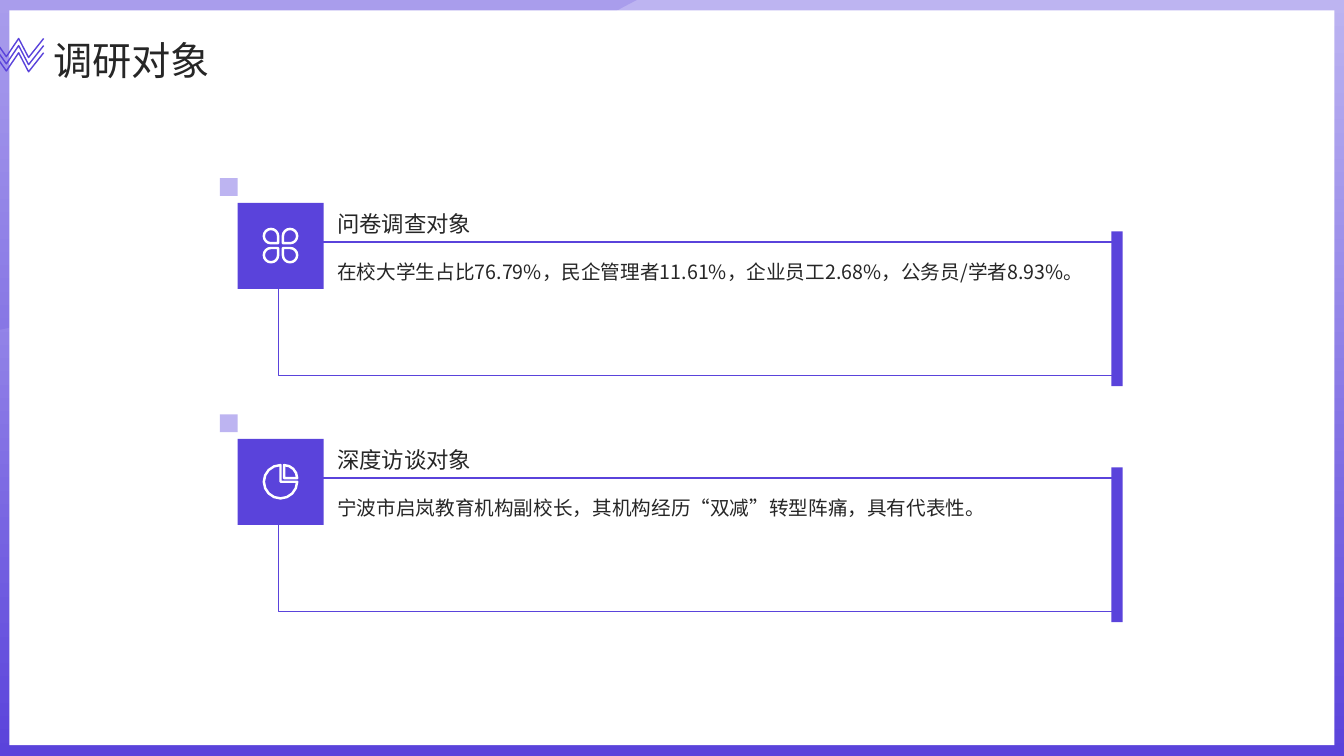
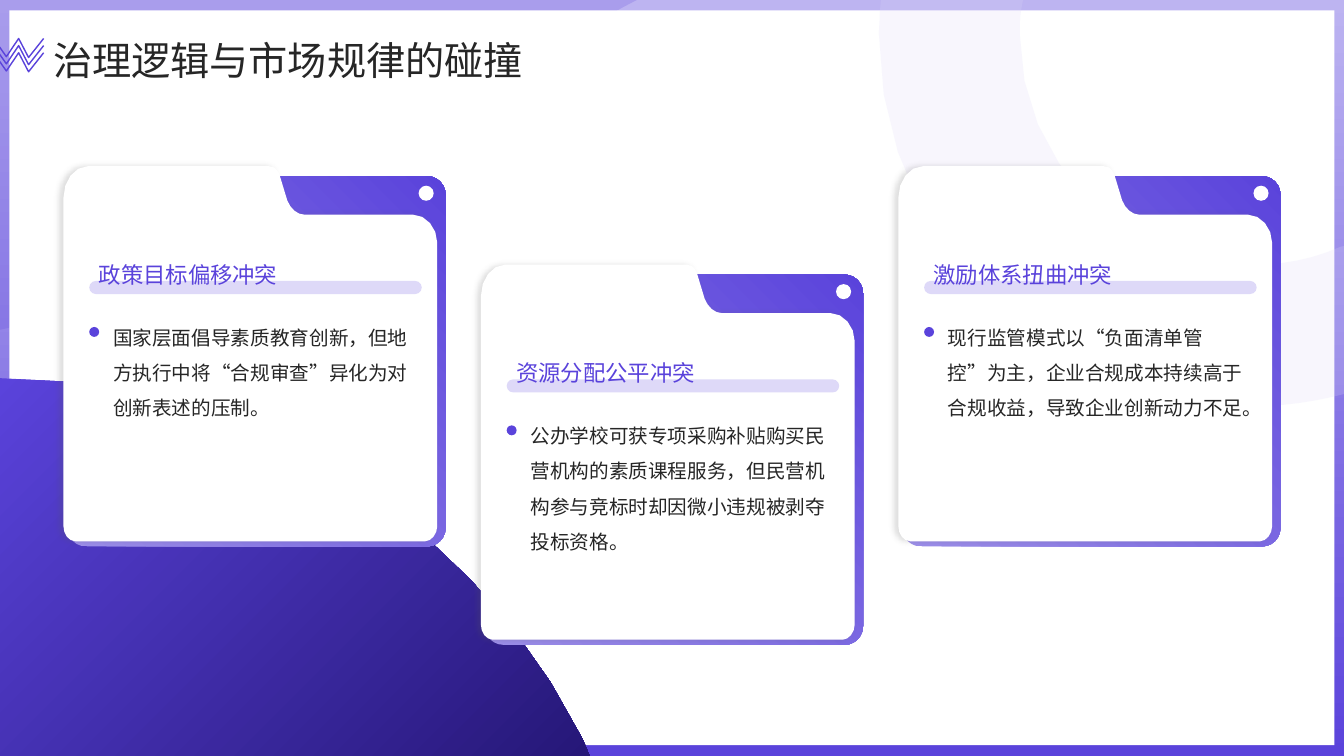
"""Build the two survey slides: interview subjects and policy conflicts."""
import math
from dataclasses import dataclass

from lxml import etree
from pptx import Presentation
from pptx import util as u
from pptx.dml import color
from pptx.enum import shapes, text
from pptx.oxml import ns

SHAPE = shapes.MSO_SHAPE
ANCHOR = text.MSO_ANCHOR


@dataclass(frozen=True)
class Theme:
    """Colours, font and type sizes shared by the slides."""
    font: str = "Noto Sans CJK SC"
    main: str = "5A43DB"
    soft: str = "BDB4F1"
    mid: str = "9C8EE9"
    pale: str = "DED9F8"
    deep: str = "261778"
    ink: str = "262626"
    white: str = "FFFFFF"
    shade: str = "595959"
    title: int = 28
    head: int = 16
    body: int = 14


T = Theme()
WIDTH, HEIGHT = 33.87, 19.05
PANEL_TOP, PANEL_STEP = 4.49, 5.95
CARD_LEFT, CARD_TOP, CARD_STEP, CARD_DROP = 1.6, 4.19, 10.52, 2.48

SWOOSH = [(0, 0), (16.05, 0), (15.67, 0.2), (14.33, 0.97), (9.55, 0.61), (6.02, 3.15),
          (2.44, 4.04), (1.55, 7.42), (0.23, 8.26), (0, 8.31)]
RING = [(31.52, 10.24), (32.33, 10.24, 33.1, 10.13, 33.87, 9.93), (33.87, 6.2), (33.78, 6.22),
        (33.1, 6.53, 32.31, 6.68, 31.52, 6.68), (28.3, 6.68, 25.7, 4.09, 25.7, 0.86),
        (25.7, 0.66, 25.7, 0.48, 25.73, 0.28), (25.78, 0), (22.2, 0), (22.17, 0.38),
        (22.17, 0.56, 22.15, 0.71, 22.15, 0.86), (22.15, 6.05, 26.34, 10.24, 31.52, 10.24)]
DOME = [(0, 9.53), (6.43, 9.53, 11.99, 13.23, 14.68, 18.62), (14.86, 19.05), (0, 19.05)]
FOLDER = [(5.18, 0), (5.31, 0.03), (5.38, 0.1), (5.44, 0.2), (5.64, 0.86),
          (5.72, 1.07, 5.89, 1.22, 6.07, 1.22), (8.81, 1.22), (9.14, 1.22, 9.42, 1.55, 9.42, 1.93),
          (9.42, 9.07), (9.42, 9.27, 9.27, 9.45, 9.12, 9.45), (0.3, 9.45),
          (0.13, 9.45, 0, 9.27, 0, 9.07), (0, 0.79), (0, 0.36, 0.28, 0, 0.61, 0)]
ZIGZAG = [(-1.17, 0.56), (-0.84, 0), (-0.53, 0.48), (-0.15, 0.03),
          (0.15, 0.46), (0.46, 0), (0.71, 0.48), (1.09, 0)]
PETAL = [(0.06, 0.06), (0.24, 0.06), (0.34, 0.06, 0.42, 0.14, 0.42, 0.24),
         (0.42, 0.34, 0.34, 0.42, 0.24, 0.42), (0.14, 0.42, 0.06, 0.34, 0.06, 0.24)]
CLOVER = [[tuple(v * (dx, dy)[i % 2] for i, v in enumerate(seg)) for seg in PETAL]
          for dx in (-1, 1) for dy in (-1, 1)]
PIE = [[(0, -0.42), (0, 0), (0.42, 0), (0.42, 0.23, 0.23, 0.42, 0, 0.42),
        (-0.23, 0.42, -0.42, 0.23, -0.42, 0), (-0.42, -0.23, -0.23, -0.42, 0, -0.42)],
       [(0.09, -0.42), (0.09, -0.09), (0.42, -0.09), (0.42, -0.27, 0.27, -0.42, 0.09, -0.42)]]


def rgb(value):
    """Turn a hex string into a colour."""
    return color.RGBColor.from_string(value)


def apply(obj, values):
    """Set attributes from a dict of format values."""
    for name, value in values.items():
        setattr(obj, name, value)


def paint(sp, fill=None, line=None, width=1, alpha=None, angle=0):
    """Give a shape its fill (a hex string or a pair for a gradient) and line."""
    sp.shadow.inherit = False
    if isinstance(fill, tuple):
        sp.fill.gradient()
        sp.fill.gradient_angle = angle
        for stop, value in zip(sp.fill.gradient_stops, fill):
            stop.color.rgb = rgb(value)
    elif fill:
        sp.fill.solid()
        sp.fill.fore_color.rgb = rgb(fill)
    else:
        sp.fill.background()
    if alpha:
        srgb = sp._element.spPr.find(".//" + ns.qn("a:srgbClr"))
        etree.SubElement(srgb, ns.qn("a:alpha"), val=str(alpha * 1000))
    if line:
        sp.line.color.rgb = rgb(line)
        sp.line.width = u.Pt(width)
    else:
        sp.line.fill.background()
    return sp


def add_preset(s, kind, x, y, w, h, adjust=(), **look):
    """Add a preset shape."""
    sp = s.shapes.add_shape(kind, u.Cm(x), u.Cm(y), u.Cm(w), u.Cm(h))
    for i, value in enumerate(adjust):
        sp.adjustments[i] = value
    return paint(sp, **look)


def trace(outline):
    """Turn lines and cubic curves into points, with more on longer curves."""
    points = []
    for seg in outline:
        if len(seg) == 2:
            points.append(seg)
            continue
        x0, y0 = points[-1]
        x1, y1, x2, y2, x3, y3 = seg
        steps = math.ceil(2 * math.sqrt(math.dist((x0, y0), (x3, y3)))) + 2
        for i in range(1, steps + 1):
            t = i / steps
            a, b, c, d = (1 - t) ** 3, 3 * t * (1 - t) ** 2, 3 * t * t * (1 - t), t ** 3
            points.append((a * x0 + b * x1 + c * x2 + d * x3, a * y0 + b * y1 + c * y2 + d * y3))
    return points


def add_outline(s, *contours, x=0, y=0, close=True, **look):
    """Add one freeform made of contours shifted to x, y."""
    builder = None
    for contour in contours:
        start, *rest = [(u.Cm(x + px), u.Cm(y + py)) for px, py in trace(contour)]
        if builder:
            builder.move_to(*start)
        else:
            builder = s.shapes.build_freeform(*start)
        builder.add_line_segments(rest, close=close)
    return paint(builder.convert_to_shape(), **look)


def add_text(s, words, x, y, w, h, size, ink=T.ink, spacing=1.3, anchor=ANCHOR.TOP, inset=(0.25, 0.13)):
    """Add a wrapped text box with one paragraph."""
    tf = s.shapes.add_textbox(u.Cm(x), u.Cm(y), u.Cm(w), u.Cm(h)).text_frame
    across, down = map(u.Cm, inset)
    apply(tf, {"word_wrap": True, "vertical_anchor": anchor, "margin_left": across,
               "margin_right": across, "margin_top": down, "margin_bottom": down})
    p = tf.paragraphs[0]
    p.line_spacing = spacing
    r = p.add_run()
    r.text = words
    apply(r.font, {"name": T.font, "size": u.Pt(size)})
    r.font.color.rgb = rgb(ink)
    etree.SubElement(r.font._element, ns.qn("a:ea"), typeface=T.font)


def add_shadow(sp, tint, alpha, blur, dist, angle):
    """Add an outer shadow to a painted shape."""
    effects = sp._element.spPr.find(ns.qn("a:effectLst"))
    outer = etree.SubElement(effects, ns.qn("a:outerShdw"), blurRad=str(u.Pt(blur)),
                             dist=str(u.Pt(dist)), dir=str(angle * 60000), rotWithShape="0")
    srgb = etree.SubElement(outer, ns.qn("a:srgbClr"), val=tint)
    etree.SubElement(srgb, ns.qn("a:alpha"), val=str(alpha * 1000))


def add_slide(prs):
    """Add a blank slide with the gradient frame."""
    s = prs.slides.add_slide(prs.slide_layouts[6])
    add_preset(s, SHAPE.RECTANGLE, 0, 0, WIDTH, HEIGHT, fill=(T.soft, T.main), angle=270)
    add_outline(s, SWOOSH, fill=T.main, alpha=20)
    add_preset(s, SHAPE.RECTANGLE, 0.24, 0.26, 33.39, 18.52, fill=T.white)
    return s


def add_title(s, words):
    """Add the title and its zigzag mark."""
    add_text(s, words, 1.09, 0.63, 30.18, 1.42, T.title, anchor=ANCHOR.MIDDLE)
    for i in range(3):
        add_outline(s, ZIGZAG, x=0.01, y=1.33 - 0.18 * i, close=False, line=T.main)


def add_panel(s, top, head, body, icon):
    """Add a framed panel with an icon badge."""
    add_preset(s, SHAPE.RECTANGLE, 7.02, top + 1.61, 21.23, 3.36, fill=T.white, line=T.main)
    add_preset(s, SHAPE.RECTANGLE, 28.01, top + 1.34, 0.28, 3.9, fill=T.main)
    add_text(s, body, 8.5, top + 1.76, 19.05, 3, T.body, spacing=1.5, inset=(0, 0))
    add_preset(s, SHAPE.RECTANGLE, 5.99, top + 0.62, 2.17, 2.17, fill=T.main)
    add_outline(s, *icon, x=7.07, y=top + 1.7, line=T.white, width=1.75)
    add_preset(s, SHAPE.RECTANGLE, 5.54, top, 0.45, 0.45, fill=T.soft)
    add_text(s, head, 8.5, top + 0.44, 19.05, 1.04, T.head, anchor=ANCHOR.BOTTOM, inset=(0, 0))


def add_card(s, x, y, head, body):
    """Add a folder card."""
    add_preset(s, SHAPE.ROUNDED_RECTANGLE, x + 0.1, y + 0.25, 9.53, 9.33, (0.05,),
               fill=(T.mid, T.main), angle=45)
    face = add_outline(s, FOLDER, x=x, y=y, fill=T.white)
    add_shadow(face, T.shade, alpha=20, blur=4, dist=3, angle=180)
    add_preset(s, SHAPE.OVAL, x + 8.95, y + 0.49, 0.38, 0.38, fill=T.white)
    add_preset(s, SHAPE.ROUNDED_RECTANGLE, x + 0.65, y + 2.89, 8.38, 0.33, (0.5,), fill=T.pale)
    add_text(s, head, x + 0.76, y + 1.44, 8.03, 1.7, T.head, T.main,
             anchor=ANCHOR.BOTTOM, inset=(0.13, 0.08))
    add_preset(s, SHAPE.OVAL, x + 0.65, y + 4.05, 0.25, 0.25, fill=T.main)
    add_text(s, body, x + 1, y + 3.59, 8.03, 5.38, T.body, spacing=1.5)


def build_subjects(prs):
    """Build the slide on the people surveyed."""
    s = add_slide(prs)
    panels = [
        ("问卷调查对象", "在校大学生占比76.79%，民企管理者11.61%，企业员工2.68%，公务员/学者8.93%。", CLOVER),
        ("深度访谈对象", "宁波市启岚教育机构副校长，其机构经历“双减”转型阵痛，具有代表性。", PIE),
    ]
    for i, panel in enumerate(panels):
        add_panel(s, PANEL_TOP + i * PANEL_STEP, *panel)
    add_title(s, "调研对象")


def build_conflicts(prs):
    """Build the slide on the three conflicts."""
    s = add_slide(prs)
    add_outline(s, RING, fill=T.pale, alpha=21)
    add_outline(s, DOME, fill=(T.main, T.deep), angle=315)
    cards = [
        ("政策目标偏移冲突", "国家层面倡导素质教育创新，但地方执行中将“合规审查”异化为对创新表述的压制。"),
        ("资源分配公平冲突", "公办学校可获专项采购补贴购买民营机构的素质课程服务，但民营机构参与竞标时却因微小违规被剥夺投标资格。"),
        ("激励体系扭曲冲突", "现行监管模式以“负面清单管控”为主，企业合规成本持续高于合规收益，导致企业创新动力不足。"),
    ]
    for i, card in enumerate(cards):
        add_card(s, CARD_LEFT + i * CARD_STEP, CARD_TOP + i % 2 * CARD_DROP, *card)
    add_title(s, "治理逻辑与市场规律的碰撞")


def main():
    """Build and save the presentation."""
    prs = Presentation()
    apply(prs, {"slide_width": u.Cm(WIDTH), "slide_height": u.Cm(HEIGHT)})
    build_subjects(prs)
    build_conflicts(prs)
    prs.save("out.pptx")


if __name__ == "__main__":
    main()
